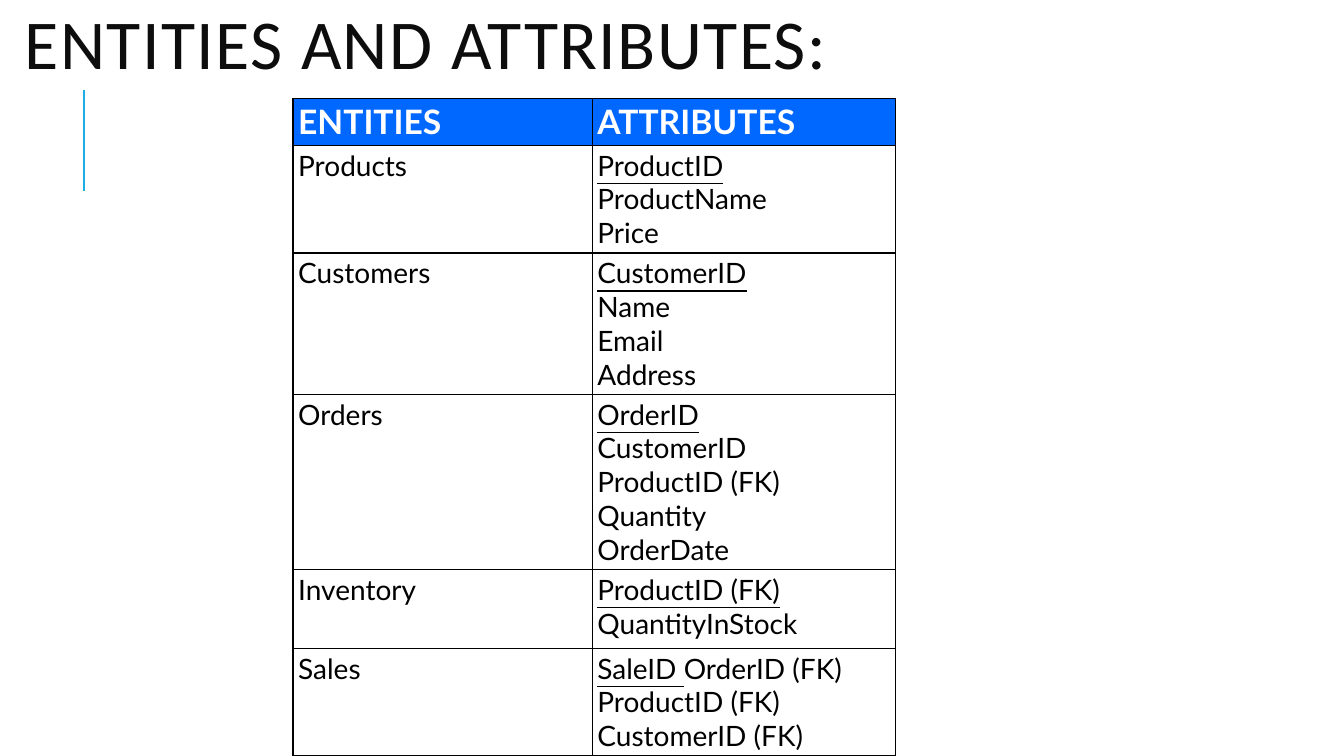
from dataclasses import dataclass

from lxml import etree
from pptx import Presentation
from pptx.dml.color import RGBColor
from pptx.enum.shapes import MSO_CONNECTOR
from pptx.enum.text import MSO_ANCHOR, MSO_AUTO_SIZE, PP_ALIGN
from pptx.oxml.ns import qn
from pptx.util import Pt

STRAIGHT = MSO_CONNECTOR.STRAIGHT
BOTTOM, TOP = MSO_ANCHOR.BOTTOM, MSO_ANCHOR.TOP
LEFT = PP_ALIGN.LEFT
NO_FIT = MSO_AUTO_SIZE.NONE
TITLE_ONLY = 5
SCALE = 9525  # EMU in one px, 96 px to the inch


@dataclass(frozen=True)
class Theme:
    ink: str = "0D0D0D"
    text: str = "000000"
    white: str = "FFFFFF"
    head: str = "0068FF"
    accent: str = "1CADE4"
    title_font: str = "Calibri"
    body_font: str = "Lato"
    title_size: int = 50
    head_size: int = 24
    body_size: int = 20


THEME = Theme()

COLS = [285, 289]
ROWS = [35, 60, 77, 95, 75, 95]
HEADS = ["ENTITIES", "ATTRIBUTES"]
# Entity, key, text beside the key, other attributes
ENTITIES = [
    ("Products", "ProductID", "", ["ProductName", "Price"]),
    ("Customers", "CustomerID", "", ["Name", "Email", "Address"]),
    ("Orders", "OrderID", "",
     ["CustomerID", "ProductID (FK)", "Quantity", "OrderDate"]),
    ("Inventory", "ProductID (FK)", "", ["QuantityInStock"]),
    ("Sales", "SaleID ", "OrderID (FK)",
     ["ProductID (FK)", "CustomerID (FK)"]),
]


def px(value):
    return round(value * SCALE)


def rgb(code):
    return RGBColor.from_string(code)


def add_run(para, text, size, color, font, bold=False, under=False):
    run = para.add_run()
    run.text = text
    face = run.font
    face.size, face.name = Pt(size), font
    face.bold, face.underline = bold, under
    face.color.rgb = rgb(color)
    return run


def set_title(slide, text):
    title = slide.shapes.title
    title.left, title.top = px(14), px(0)
    title.width, title.height = px(1026), px(84)
    frame = title.text_frame
    frame.word_wrap = True
    frame.auto_size = NO_FIT
    frame.vertical_anchor = BOTTOM
    para = frame.paragraphs[0]
    para.alignment = LEFT
    para.line_spacing = 0.8
    run = add_run(para, text, THEME.title_size, THEME.ink, THEME.title_font)
    run.font._element.set("spc", "100")


def add_rule(slide, x, top, bottom):
    line = slide.shapes.add_connector(
        STRAIGHT, px(x), px(bottom), px(x), px(top))
    line.line.color.rgb = rgb(THEME.accent)
    line.line.width = Pt(1.5)
    etree.SubElement(line._element.spPr, qn("a:effectLst"))


def add_edges(cell):
    props = cell._tc.get_or_add_tcPr()
    for side in ("lnL", "lnR", "lnT", "lnB"):
        edge = etree.SubElement(props, qn(f"a:{side}"), w=str(Pt(1)))
        fill = etree.SubElement(edge, qn("a:solidFill"))
        etree.SubElement(fill, qn("a:srgbClr"), val=THEME.text)


def fill_cell(cell, lines, head=False):
    """Each line is a list of (text, underlined) pairs."""
    cell.margin_left = cell.margin_right = px(5)
    cell.margin_top = cell.margin_bottom = px(3)
    cell.vertical_anchor = TOP
    add_edges(cell)
    if head:
        cell.fill.solid()
        cell.fill.fore_color.rgb = rgb(THEME.head)
    else:
        cell.fill.background()
    size = THEME.head_size if head else THEME.body_size
    color = THEME.white if head else THEME.text
    frame = cell.text_frame
    for i, line in enumerate(lines):
        para = frame.add_paragraph() if i else frame.paragraphs[0]
        for text, under in line:
            add_run(para, text, size, color, THEME.body_font, head, under)


def add_grid(slide):
    table = slide.shapes.add_table(
        len(ROWS), len(COLS), px(279), px(94),
        px(sum(COLS)), px(sum(ROWS))).table
    table.horz_banding = False
    for col, width in zip(table.columns, COLS):
        col.width = px(width)
    for row, height in zip(table.rows, ROWS):
        row.height = px(height)
    for i, text in enumerate(HEADS):
        fill_cell(table.cell(0, i), [[(text, False)]], head=True)
    for i, (name, key, beside, others) in enumerate(ENTITIES, 1):
        first = [(key, True)]
        if beside:
            first.append((beside, False))
        fill_cell(table.cell(i, 0), [[(name, False)]])
        fill_cell(table.cell(i, 1),
                  [first] + [[(text, False)] for text in others])


def main():
    deck = Presentation()
    deck.slide_width, deck.slide_height = px(1280), px(720)
    slide = deck.slides.add_slide(deck.slide_layouts[TITLE_ONLY])
    add_rule(slide, 80, 86, 182)
    set_title(slide, "ENTITIES AND ATTRIBUTES:")
    add_grid(slide)
    deck.save("out.pptx")


if __name__ == "__main__":
    main()
